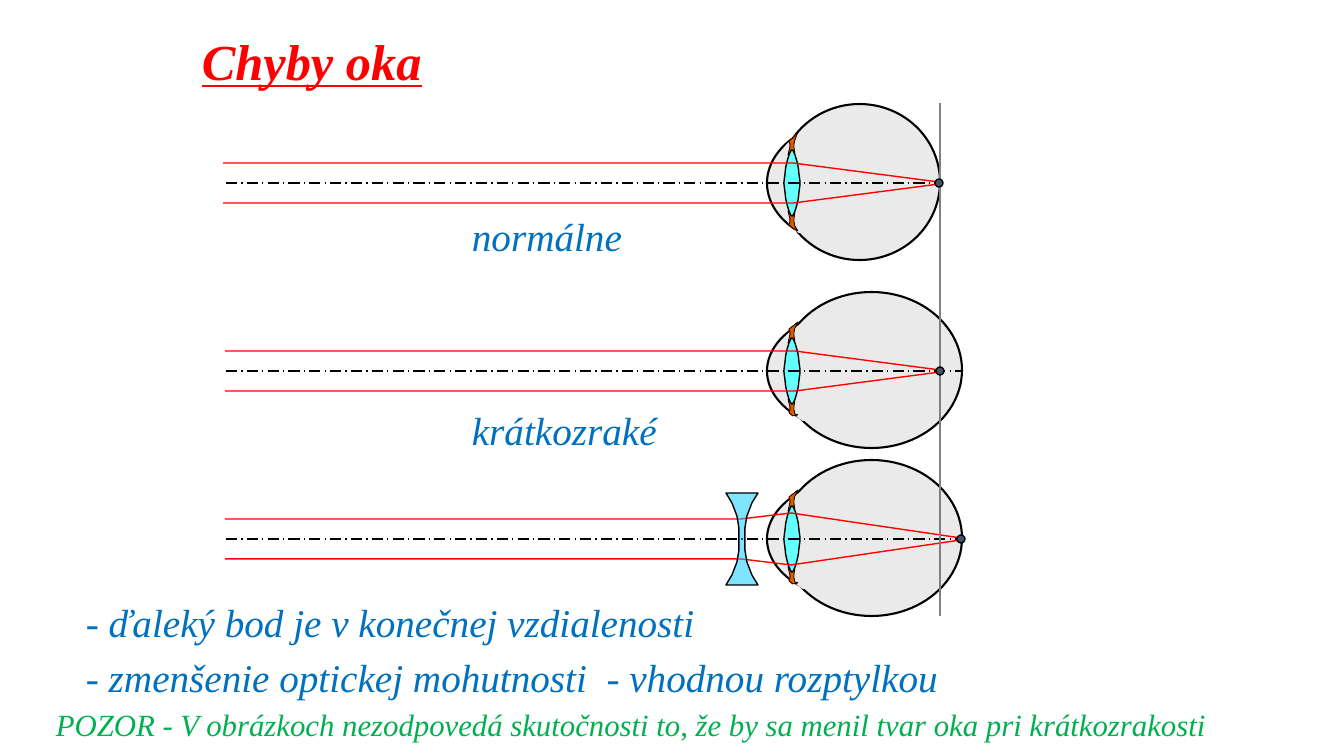
"""Build a slide on eye defects: normal, short-sighted and corrected eye."""
from copy import deepcopy

from lxml import etree
from pptx import Presentation
from pptx.dml.color import RGBColor
from pptx.enum.dml import MSO_LINE
from pptx.enum.shapes import MSO_CONNECTOR, MSO_SHAPE
from pptx.enum.text import MSO_AUTO_SIZE, PP_ALIGN
from pptx.oxml.ns import qn
from pptx.util import Pt

OVAL = MSO_SHAPE.OVAL
LINE = MSO_CONNECTOR.STRAIGHT
DASH = MSO_LINE.LONG_DASH_DOT
FIT = MSO_AUTO_SIZE.SHAPE_TO_FIT_TEXT
LEFT = PP_ALIGN.LEFT
PX = 914400 / 100.8
FONT = "Times New Roman"

COLORS = {
    "title": "FF0000", "label": "0070C0", "note": "00B050", "ray": "FF0000",
    "eye": "EAEAEA", "lens": "66FFFF", "rim": "FF3300", "iris": "CC6600",
    "glass": "00CCFF", "dot": "44546A", "ink": "000000", "plane": "808080",
}

TEXTS = [
    ("Chyby oka", (192, 25, 242, 72), {"size": 36, "color": "title", "bold": True, "line": True}),
    ("normálne", (462, 207, 172, 57), {}),
    ("krátkozraké", (462, 401, 205, 57), {}),
    ("- ďaleký bod je v konečnej vzdialenosti", (76, 593, 639, 57), {}),
    ("- zmenšenie optickej mohutnosti  - vhodnou rozptylkou", (76, 648, 889, 57), {}),
    ("POZOR - V obrázkoch nezodpovedá skutočnosti to, že by sa menil tvar oka pri krátkozrakosti",
     (46, 701, 1174, 47), {"size": 22, "color": "note"}),
]

FRONT = 767
EYES = [
    {"axis": 183, "cornea": 168, "globe": (779, 161), "tips": (51, 48), "end": 942,
     "focus": 939, "ray": [(223, 20), (793, 20)]},
    {"axis": 371, "cornea": 191, "globe": (781, 181), "tips": (49, 44), "end": 962,
     "focus": 940, "ray": [(225, 20), (795, 20)]},
    {"axis": 539, "cornea": 191, "globe": (781, 181), "tips": (49, 44), "end": 961,
     "focus": 961, "ray": [(225, 20), (741, 20), (791, 26)]},
]
PATCH = [(45, -48), (41, -54), (34, -50), (26, -44), (19, -38), (12, -27),
         (9, -12), (9, 2), (12, 24), (24, 43), (36, 49), (43, 20)]
IRIS = [(28, 43), (27, 39), (27, 35), (28, 30), (26, 28), (21, 28),
        (23, 36), (23, 39), (22, 42), (26, 45)]
LENS = [(0, 33), (3, 28), (6, 17), (7, 9), (8, 0)]
GLASS = [(16, 46), (10, 36), (5, 23), (3, 11), (3, 0)]
GLASS_X = 742
PLANE = (940, 103, 940, 616)

deck = Presentation()
deck.slide_width, deck.slide_height = round(1344 * PX), round(756 * PX)
shapes = deck.slides.add_slide(deck.slide_layouts[6]).shapes


def emu(nums):
    return [round(n * PX) for n in nums]


def tint(name):
    return RGBColor.from_string(COLORS[name])


def paint(shape, fill, line, width=1.0):
    shape.shadow.inherit = False
    if fill:
        shape.fill.solid()
        shape.fill.fore_color.rgb = tint(fill)
    else:
        shape.fill.background()
    if line:
        shape.line.color.rgb = tint(line)
        shape.line.width = Pt(width)
    else:
        shape.line.fill.background()
    return shape


def oval(box, fill, width):
    return paint(shapes.add_shape(OVAL, *emu(box)), fill, "ink", width)


def outline(points, fill, line, width=1.0, close=True):
    first, *rest = [emu(p) for p in points]
    pen = shapes.build_freeform(*first, scale=1.0)
    pen.add_line_segments(rest, close=close)
    return paint(pen.convert_to_shape(), fill, line, width)


def bend(points, steps=5):
    """Round a closed ring of points with a Catmull-Rom curve."""
    count, ring = len(points), []
    for i in range(count):
        a, b, c, d = (points[(i + k) % count] for k in (-1, 0, 1, 2))
        for t in (s / steps for s in range(steps)):
            ring.append([(2 * q + (r - p) * t + (2 * p - 5 * q + 4 * r - s) * t ** 2
                          + (3 * q - p - 3 * r + s) * t ** 3) / 2
                         for p, q, r, s in zip(a, b, c, d)])
    return ring


def mirror(side):
    """Turn a quarter outline, tip first, into a whole ring."""
    half = [(x, -y) for x, y in side] + side[-2::-1]
    return half + [(-x, y) for x, y in reversed(half) if x]


def shift(points, x, y):
    return [(x + a, y + b) for a, b in points]


def wire(ends, color, width, dash=None):
    line = shapes.add_connector(LINE, *emu(ends))
    line.line.color.rgb = tint(color)
    line.line.width = Pt(width)
    if dash:
        line.line.dash_style = dash
    etree.SubElement(line._element.spPr, qn("a:effectLst"))


def blend(shape):
    fill = shape.fill
    fill.gradient()
    fill.gradient_angle = 0
    for stop, name, place in zip(fill.gradient_stops, ("rim", "iris"), (0, 0.5)):
        stop.color.rgb = tint(name)
        stop.position = place
    stops = shape._element.spPr.find(".//" + qn("a:gsLst"))
    last = deepcopy(stops[0])
    last.set("pos", "100000")
    stops.append(last)


def text(words, box, size=28, color="label", bold=False, line=False):
    frame = shapes.add_textbox(*emu(box)).text_frame
    frame.word_wrap = False
    frame.auto_size = FIT
    para = frame.paragraphs[0]
    para.alignment = LEFT
    run = para.add_run()
    run.text = words
    font = run.font
    font.name, font.size, font.color.rgb = FONT, Pt(size), tint(color)
    font.bold, font.italic, font.underline = bold, True, line


def draw_eye(axis, cornea, globe, tips, end, focus, ray):
    left, wide = globe
    oval((FRONT, axis - 62, cornea, 124), "eye", 1.5)
    oval((left, axis - 79, wide, 156), "eye", 1.5)
    patch = [(x * wide / 161, y) for x, y in PATCH]
    outline(bend(shift(patch, FRONT, axis)), "eye", None)
    for sign, tip in zip((-1, 1), tips):
        iris = [(x, sign * y) for x, y in [(31, tip)] + IRIS]
        blend(outline(shift(iris, FRONT, axis), "iris", "ink", 0.5))
    outline(bend(shift(mirror(LENS), FRONT + 25, axis)), "lens", "ink")
    wire((226, axis, end, axis), "ink", 1, DASH)
    for sign in (-1, 1):
        path = [(x, axis + sign * y) for x, y in ray + [(focus, 1)]]
        outline(path, None, "ray", close=False)


for eye in EYES:
    draw_eye(**eye)

quarter = shift(mirror(GLASS), GLASS_X, EYES[-1]["axis"])
glass = outline(quarter, "glass", "ink")
shade = glass._element.spPr.find(qn("a:solidFill"))[0]
etree.SubElement(shade, qn("a:alpha")).set("val", "50000")

wire(PLANE, "plane", 1.5)
for eye in EYES:
    oval((eye["focus"] - 4, eye["axis"] - 4, 8, 8), "dot", 1)
for words, box, style in TEXTS:
    text(words, box, **style)

deck.save("out.pptx")
